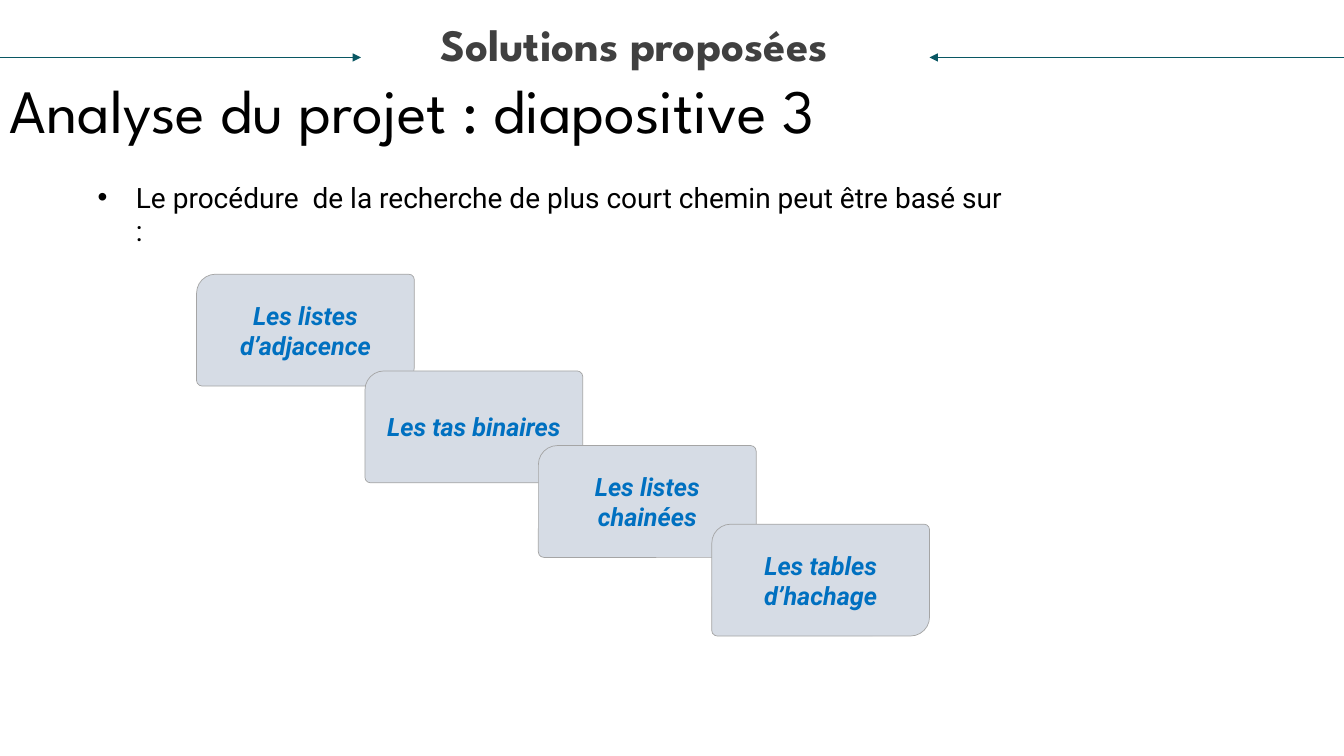
from dataclasses import dataclass

from pptx import Presentation
from pptx.dml.color import RGBColor
from pptx.enum.shapes import MSO_CONNECTOR, MSO_SHAPE
from pptx.enum.text import MSO_ANCHOR as ANCHOR, PP_ALIGN as ALIGN
from pptx.oxml.ns import qn
from pptx.util import Inches, Pt
from lxml.etree import SubElement


@dataclass(frozen=True)
class Theme:
    heading_font: str = "League Spartan"
    body_font: str = "Roboto"
    black: str = "000000"
    heading: str = "404040"
    arrow: str = "095763"
    card_fill: str = "D6DCE5"
    card_line: str = "A5A5A5"
    card_text: str = "0070C0"
    title_size: int = 44
    heading_size: int = 32
    body_size: int = 20
    card_size: int = 18
    line_width: float = 0.5


def rgb(value):
    return RGBColor.from_string(value)


class SlideBuilder:
    def __init__(self, slide, theme):
        self.s = slide
        self.theme = theme

    def set_text(self, tf, text, font, size, color, bold=False, italic=False):
        tf.word_wrap = True
        p = tf.paragraphs[0]
        p.text = text
        f = p.runs[0].font
        f.name, f.size, f.color.rgb = font, Pt(size), rgb(color)
        f.bold, f.italic = bold, italic
        return p

    def text(self, box, text, font, size, color, anchor=ANCHOR.TOP, bold=False):
        sp = self.s.shapes.add_textbox(*map(Inches, box))
        sp.text_frame.vertical_anchor = anchor
        return sp.text_frame, self.set_text(sp.text_frame, text, font, size, color, bold)

    def title(self, box, text):
        t = self.theme
        _, p = self.text(box, text, t.heading_font, t.title_size, t.black, ANCHOR.MIDDLE)
        p.line_spacing = 0.9

    def heading(self, box, text):
        t = self.theme
        tf, p = self.text(box, text, t.heading_font, t.heading_size, t.heading, bold=True)
        tf.margin_left = tf.margin_right = tf.margin_top = tf.margin_bottom = 0
        p.alignment, p.line_spacing = ALIGN.CENTER, 0.9

    def bullet(self, box, text, indent):
        t = self.theme
        _, p = self.text(box, text, t.body_font, t.body_size, t.black)
        ppr = p._p.get_or_add_pPr()
        ppr.set("marL", str(Inches(indent)))
        ppr.set("indent", str(-Inches(indent)))
        SubElement(ppr, qn("a:buFont"), typeface="Arial")
        SubElement(ppr, qn("a:buChar"), char="•")

    def arrow(self, start, end, y):
        cn = self.s.shapes.add_connector(
            MSO_CONNECTOR.STRAIGHT, Inches(start), Inches(y), Inches(end), Inches(y))
        cn.line.color.rgb = rgb(self.theme.arrow)
        cn.line.width = Pt(self.theme.line_width)
        SubElement(cn.line._get_or_add_ln(), qn("a:tailEnd"), type="triangle")
        SubElement(cn._element.spPr, qn("a:effectLst"))

    def card(self, box, text):
        t = self.theme
        sp = self.s.shapes.add_shape(MSO_SHAPE.ROUND_2_DIAG_RECTANGLE, *map(Inches, box))
        sp.adjustments[0], sp.adjustments[1] = 0.17, 0.05
        sp.shadow.inherit = False
        sp.fill.solid()
        sp.fill.fore_color.rgb = rgb(t.card_fill)
        sp.line.color.rgb = rgb(t.card_line)
        sp.line.width = Pt(t.line_width)
        sp.text_frame.vertical_anchor = ANCHOR.MIDDLE
        p = self.set_text(sp.text_frame, text, t.body_font, t.card_size, t.card_text, True, True)
        p.alignment = ALIGN.CENTER


def main():
    prs = Presentation()
    prs.slide_width, prs.slide_height = Inches(13.33), Inches(7.5)
    slide = SlideBuilder(prs.slides.add_slide(prs.slide_layouts[6]), Theme())

    # Title and heading between two arrows
    slide.title((0, 0.4, 11.5, 1.45), "Analyse du projet : diapositive 3")
    slide.heading((0, 0.23, 12.58, 0.48), "Solutions proposées")
    for start, end in ((0, 3.58), (13.33, 9.22)):
        slide.arrow(start, end, 0.57)

    # Introductory bullet
    slide.bullet(
        (0.87, 1.74, 9.2, 0.77),
        "Le procédure  de la recherche de plus court chemin peut être basé sur :",
        0.38)

    # Staircase of data structures
    steps = (
        (1.95, 2.72, "Les listes d’adjacence"),
        (3.62, 3.68, "Les tas binaires"),
        (5.34, 4.42, "Les listes chainées"),
        (7.06, 5.2, "Les tables d’hachage"),
    )
    for left, top, label in steps:
        slide.card((left, top, 2.16, 1.11), label)

    prs.save("out.pptx")


if __name__ == "__main__":
    main()
